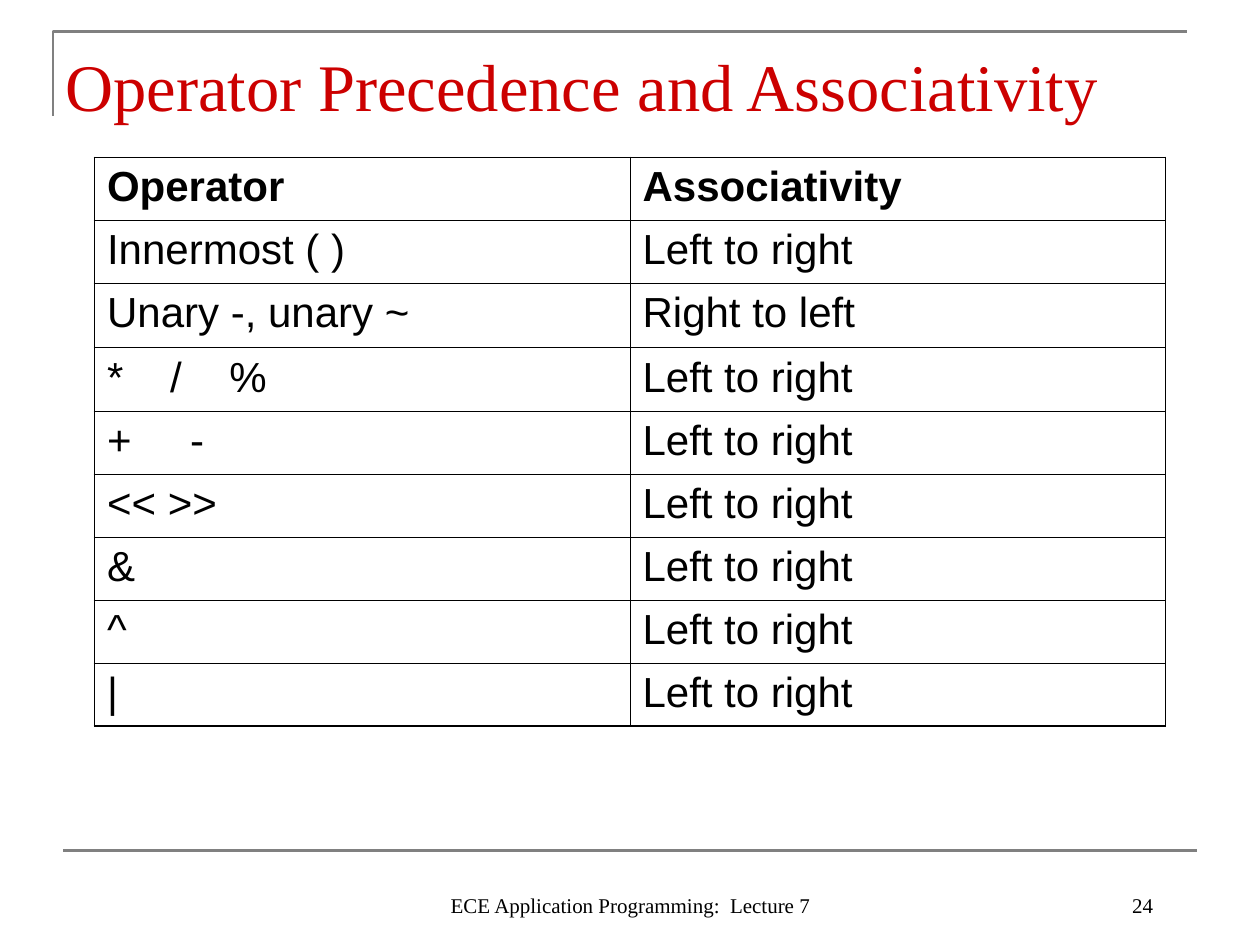
from lxml.etree import SubElement
from pptx import Presentation
from pptx.dml.color import RGBColor
from pptx.enum.shapes import MSO_CONNECTOR
from pptx.enum.text import MSO_ANCHOR, PP_ALIGN
from pptx.oxml.ns import qn
from pptx.util import Inches, Pt

BLACK = RGBColor(0x00, 0x00, 0x00)
RED = RGBColor(0xCC, 0x00, 0x00)
GRAY = RGBColor(0x80, 0x80, 0x80)
SERIF, SANS = "Times New Roman", "Arial"
OUTER_BORDER, INNER_BORDER = 1.08, 0.45

TITLE = "Operator Precedence and Associativity"
FOOTER = "ECE Application Programming:  Lecture 7"
PAGE_NUMBER = "24"
PRECEDENCE = [
    ("Operator", "Associativity"),
    ("Innermost ( )", "Left to right"),
    ("Unary -, unary ~", "Right to left"),
    ("*\t/\t%", "Left to right"),
    ("+\t-", "Left to right"),
    ("<< >>", "Left to right"),
    ("&", "Left to right"),
    ("^", "Left to right"),
    ("|", "Left to right"),
]
TAB_STOPS = {"*\t/\t%": (0.5, 0.97), "+\t-": (0.66,)}
TALL_ROW = 2


def style(paragraph, face, size, color, bold=False):
    """Set the font of a whole paragraph."""
    font = paragraph.font
    font.name, font.size, font.bold = face, Pt(size), bold
    font.color.rgb = color


def add_text(slide, text, box, size, color, align, anchor, top_inset=0.05):
    """Add one line of serif text in a box given in inches."""
    frame = slide.shapes.add_textbox(*map(Inches, box)).text_frame
    frame.word_wrap = True
    frame.vertical_anchor = anchor
    frame.margin_top = Inches(top_inset)
    paragraph = frame.paragraphs[0]
    paragraph.text = text
    paragraph.alignment = align
    style(paragraph, SERIF, size, color)


def add_frame_lines(slide):
    """Draw the corner beside the title and the rule above the footer."""
    builder = slide.shapes.build_freeform(Inches(0.42), Inches(0.92))
    builder.add_line_segments(
        [(Inches(0.42), Inches(0.25)), (Inches(9.42), Inches(0.25))], close=False)
    corner = builder.convert_to_shape()
    corner.shadow.inherit = False
    corner.fill.background()
    rule = slide.shapes.add_connector(
        MSO_CONNECTOR.STRAIGHT, *map(Inches, (0.5, 6.75, 9.5, 6.75)))
    for outline in (corner, rule):
        outline.line.color.rgb = GRAY
        outline.line.width = Pt(1.5)
    SubElement(rule._element.spPr, qn("a:effectLst"))


def set_borders(cell, widths):
    """Draw black cell borders from a dict of side letter to points."""
    properties = cell._tc.get_or_add_tcPr()
    for side, width in widths.items():
        border = SubElement(properties, qn(f"a:ln{side}"), w=str(Pt(width)))
        fill = SubElement(border, qn("a:solidFill"))
        SubElement(fill, qn("a:srgbClr"), val=str(BLACK))


def set_tab_stops(paragraph, stops):
    """Add left tab stops, in inches, to a paragraph without a font yet."""
    tabs = SubElement(paragraph._p.get_or_add_pPr(), qn("a:tabLst"))
    for stop in stops:
        SubElement(tabs, qn("a:tab"), pos=str(Inches(stop)), algn="l")


def add_precedence_table(slide):
    """Add the operator table with a heavier outer border."""
    last_row, last_column = len(PRECEDENCE) - 1, len(PRECEDENCE[0]) - 1
    table = slide.shapes.add_table(
        last_row + 1, last_column + 1,
        *map(Inches, (0.75, 1.25, 8.5, 4.52))).table
    table.first_row = table.horz_banding = False
    for r, entries in enumerate(PRECEDENCE):
        table.rows[r].height = Inches(0.51 if r == TALL_ROW else 0.5)
        for c, entry in enumerate(entries):
            cell = table.cell(r, c)
            outer = {"L": c == 0, "R": c == last_column,
                     "T": r == 0, "B": r == last_row}
            set_borders(cell, {side: OUTER_BORDER if edge else INNER_BORDER
                               for side, edge in outer.items()})
            cell.fill.background()
            paragraph = cell.text_frame.paragraphs[0]
            paragraph.text = entry
            paragraph.space_before = Pt(6)
            if entry in TAB_STOPS:
                set_tab_stops(paragraph, TAB_STOPS[entry])
            style(paragraph, SANS, 24, BLACK, bold=r == 0)


presentation = Presentation()
presentation.slide_width, presentation.slide_height = Inches(10), Inches(7.5)
slide = presentation.slides.add_slide(presentation.slide_layouts[6])
add_frame_lines(slide)
add_text(slide, TITLE, (0.42, 0.25, 8.5, 0.92), 38, RED,
         PP_ALIGN.LEFT, MSO_ANCHOR.TOP, top_inset=0.11)
add_precedence_table(slide)
add_text(slide, PAGE_NUMBER, (7.17, 6.83, 2.08, 0.5), 12, BLACK,
         PP_ALIGN.RIGHT, MSO_ANCHOR.BOTTOM)
add_text(slide, FOOTER, (3.42, 6.83, 3.17, 0.5), 12, BLACK,
         PP_ALIGN.CENTER, MSO_ANCHOR.BOTTOM)
presentation.save("out.pptx")
